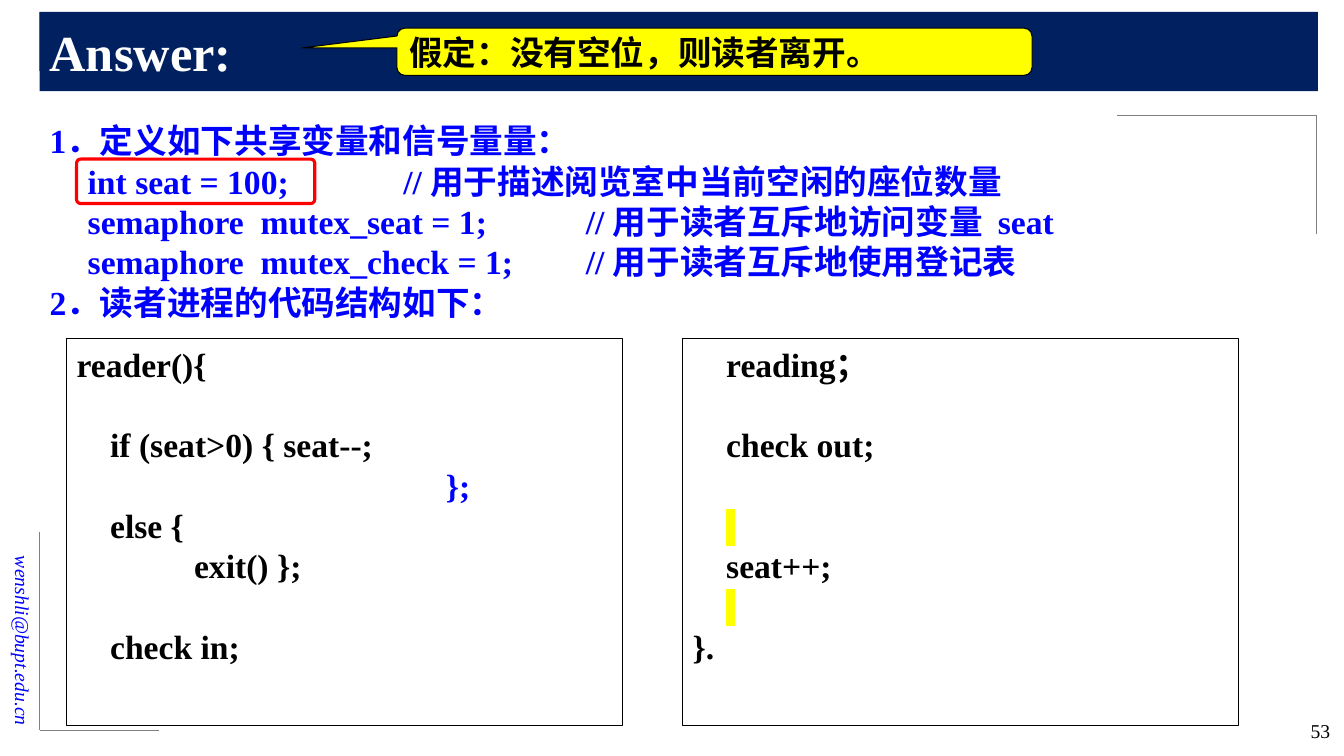
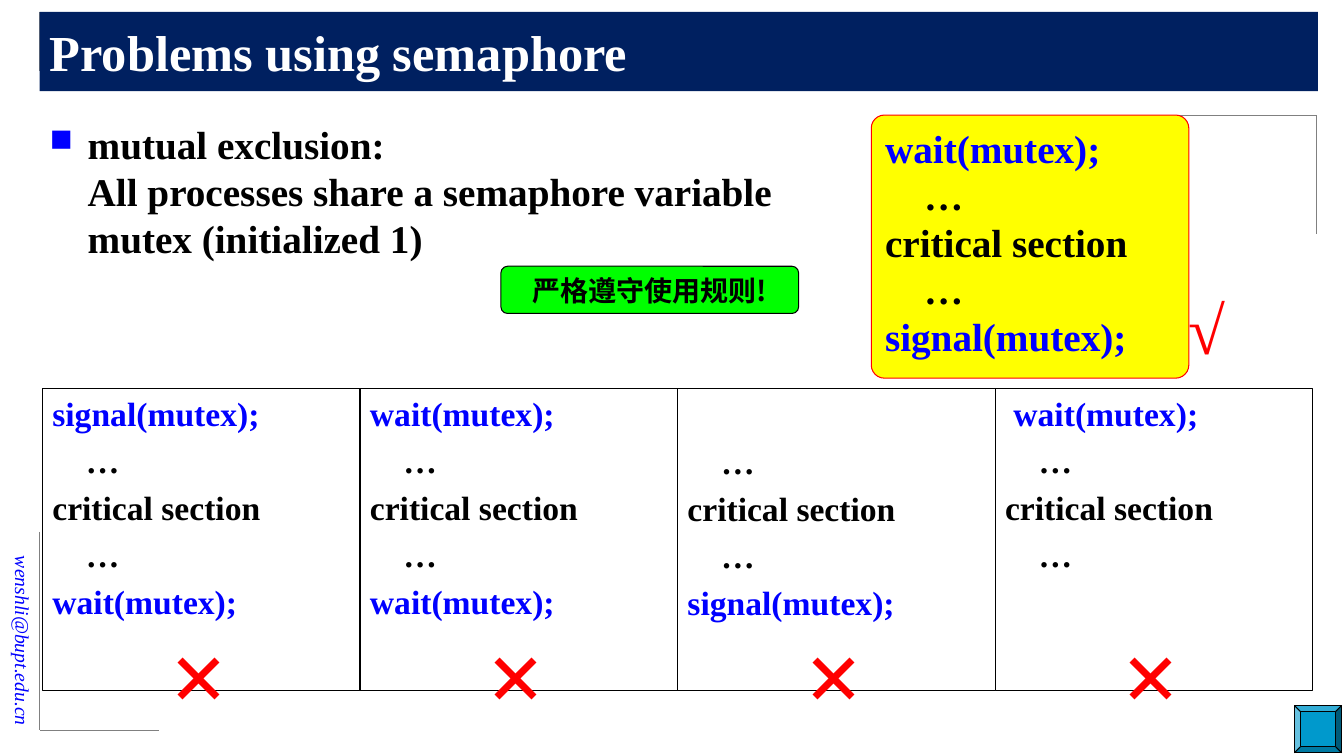
"""Build two slides on semaphores: a reading-room answer and common misuses."""
from dataclasses import dataclass
from typing import Optional

from lxml import etree
from pptx import Presentation
from pptx import util as u
from pptx.dml.color import RGBColor
from pptx.enum import shapes, text
from pptx.oxml import ns

NAVY = RGBColor(0x00, 0x20, 0x60)
BLUE = RGBColor(0x00, 0x00, 0xFF)
RED = RGBColor(0xFF, 0x00, 0x00)
YELLOW = RGBColor(0xFF, 0xFF, 0x00)
GREEN = RGBColor(0x00, 0xFF, 0x00)
TEAL = RGBColor(0x00, 0x99, 0xCC)
GRAY = RGBColor(0x80, 0x80, 0x80)
BLACK = RGBColor(0x00, 0x00, 0x00)
WHITE = RGBColor(0xFF, 0xFF, 0xFF)

SERIF = "Times New Roman"
CHINESE = "Noto Sans CJK SC"
SHAPE = shapes.MSO_SHAPE
ALIGN = text.PP_ALIGN
ANCHOR = text.MSO_ANCHOR

EMAIL = "wenshli@bupt.edu.cn"
CORNER_LINES = [
    (1, 0.3, 1, 1.8), (1, 0.3, 6, 0.3),
    (1, 13.4, 1, 18.4), (4, 18.4, 1, 18.4),
    (33.15, 2.9, 33.15, 5.9), (33.15, 2.9, 28.15, 2.9),
]
HANGING = 0.96
CODE_LINE = 28.8


@dataclass(frozen=True)
class Area:
    """A rectangle measured in columns and rows of a one-centimetre grid."""
    column: float
    row: float
    columns: float
    rows: float


@dataclass(frozen=True)
class Line:
    """One paragraph, with an optional highlighted tail."""
    words: str
    color: RGBColor = BLACK
    before: float = 0
    indent: float = 0
    tab: Optional[float] = None
    bullet: str = ""
    marked: str = ""


@dataclass(frozen=True)
class Style:
    """Look shared by all the text of one box."""
    size: float = 24
    font: str = SERIF
    bold: bool = True
    italic: bool = False
    align: Optional[ALIGN] = None
    anchor: ANCHOR = ANCHOR.TOP
    wrap: bool = True
    top: float = 0.13


@dataclass(frozen=True)
class Paint:
    """Fill and outline of a shape."""
    fill: Optional[RGBColor] = None
    line: Optional[RGBColor] = None
    width: float = 0.75


@dataclass(frozen=True)
class Misuse:
    """A wrong order of calls around a critical section."""
    first: str
    last: str


BODY = Area(1, 2.9, 32.1, 15.5)
PANEL = Paint(WHITE, BLACK)

DEFINITIONS = [
    Line("1．定义如下共享变量和信号量量：", BLUE),
    Line("int seat = 100;\t// 用于描述阅览室中当前空闲的座位数量", BLUE, indent=HANGING, tab=7.95),
    Line("semaphore  mutex_seat = 1;\t// 用于读者互斥地访问变量  seat", BLUE, indent=HANGING, tab=12.55),
    Line("semaphore  mutex_check = 1;\t// 用于读者互斥地使用登记表", BLUE, indent=HANGING, tab=12.55),
    Line("2．读者进程的代码结构如下：", BLUE),
]
READER_START = [
    Line("reader(){"),
    Line("    if (seat>0) { seat--;", before=CODE_LINE),
    Line(" " * 44 + "};", BLUE),
    Line("    else {"),
    Line("              exit() };"),
    Line("    check in;", before=CODE_LINE),
]
READER_END = [
    Line("    reading；"),
    Line("    check out;", before=CODE_LINE),
    Line("    ", before=CODE_LINE, marked=" "),
    Line("    seat++;"),
    Line("    ", marked=" "),
    Line("}."),
]
MISUSES = [
    Misuse("signal(mutex);", "wait(mutex);"),
    Misuse("wait(mutex);", "wait(mutex);"),
    Misuse("", "signal(mutex);"),
    Misuse(" wait(mutex);", ""),
]


def add_child(parent, tag: str, **attributes: str):
    """Append a DrawingML element and return it."""
    return etree.SubElement(parent, ns.qn(tag), attributes)


def format_paragraph(paragraph, line: Line, style: Style) -> None:
    """Apply indents, bullet, tab stop and spacing to a paragraph."""
    properties = paragraph._p.get_or_add_pPr()
    if line.indent:
        properties.set("marL", str(u.Cm(line.indent)))
    if line.bullet:
        properties.set("indent", str(-u.Cm(line.indent)))
        color = add_child(properties, "a:buClr")
        add_child(color, "a:srgbClr", val=str(BLUE))
        add_child(properties, "a:buSzPct", val="80000")
        add_child(properties, "a:buChar", char=line.bullet)
    if line.tab:
        tabs = add_child(properties, "a:tabLst")
        add_child(tabs, "a:tab", pos=str(u.Cm(line.tab)), algn="l")
    paragraph.alignment = style.align
    if line.before:
        paragraph.space_before = u.Pt(line.before)


def format_run(run, color: RGBColor, style: Style) -> None:
    """Set the fonts, size and colour of a run."""
    run.font.size = u.Pt(style.size)
    run.font.bold = style.bold
    run.font.italic = style.italic
    run.font.color.rgb = color
    run.font.name = style.font
    add_child(run._r.get_or_add_rPr(), "a:ea", typeface=CHINESE)


def highlight(run, color: RGBColor) -> None:
    """Put a highlight colour behind a run."""
    mark = etree.Element(ns.qn("a:highlight"))
    add_child(mark, "a:srgbClr", val=str(color))
    run._r.rPr.find(ns.qn("a:solidFill")).addnext(mark)


def write(shape, lines: list[Line], style: Style) -> None:
    """Fill a shape with formatted lines."""
    frame = shape.text_frame
    frame.word_wrap = style.wrap
    frame.vertical_anchor = style.anchor
    frame.margin_top = u.Cm(style.top)
    for index, line in enumerate(lines):
        paragraph = frame.add_paragraph() if index else frame.paragraphs[0]
        paragraph.text = line.words
        format_paragraph(paragraph, line, style)
        for run in paragraph.runs:
            format_run(run, line.color, style)
        if line.marked:
            run = paragraph.add_run()
            run.text = line.marked
            format_run(run, BLUE, style)
            highlight(run, YELLOW)


def place(area: Area) -> tuple[int, int, int, int]:
    """Turn grid columns and rows into slide lengths."""
    return u.Cm(area.column), u.Cm(area.row), u.Cm(area.columns), u.Cm(area.rows)


def add_text(slide, area: Area, lines: list[Line], style: Style):
    """Add a text box."""
    shape = slide.shapes.add_textbox(*place(area))
    write(shape, lines, style)
    return shape


def add_box(slide, kind, area: Area, paint: Paint, lines: Optional[list[Line]] = None,
            style: Style = Style(align=ALIGN.LEFT), adjust: tuple[float, ...] = ()):
    """Add a preset shape, with text if there is any."""
    shape = slide.shapes.add_shape(kind, *place(area))
    shape.shadow.inherit = False
    for index, value in enumerate(adjust):
        shape.adjustments[index] = value
    if paint.fill is None:
        shape.fill.background()
    else:
        shape.fill.solid()
        shape.fill.fore_color.rgb = paint.fill
    if paint.line is None:
        shape.line.fill.background()
    else:
        shape.line.color.rgb = paint.line
        shape.line.width = u.Pt(paint.width)
    if lines:
        write(shape, lines, style)
    return shape


def add_slide(presentation, title: str):
    """Add a blank slide with the shared e-mail, corner lines and title band."""
    slide = presentation.slides.add_slide(presentation.slide_layouts[6])
    email = add_text(slide, Area(-2.77, 14.76, 6.7, 0.86), [Line(EMAIL, BLUE)],
                     Style(14, bold=False, italic=True, align=ALIGN.RIGHT, anchor=ANCHOR.MIDDLE))
    email.rotation = 90
    for ends in CORNER_LINES:
        corner = slide.shapes.add_connector(shapes.MSO_CONNECTOR.STRAIGHT, *map(u.Cm, ends))
        corner.line.color.rgb = GRAY
        corner.line.width = u.Pt(0.5)
        add_child(corner._element.spPr, "a:effectLst")
    add_box(slide, SHAPE.RECTANGLE, Area(1, 0.3, 32.2, 2), Paint(NAVY), [Line(title, WHITE)],
            Style(36, align=ALIGN.LEFT, anchor=ANCHOR.MIDDLE))
    return slide


def section(first: str, last: str, before: float = 0) -> list[Line]:
    """Return the lines of a critical section between two calls."""
    middle = [Line(words, before=before) for words in ("    …", "critical section", "    …")]
    opening = [Line(first, BLUE)] if first else []
    closing = [Line(last, BLUE, before)] if last else []
    return opening + middle + closing


def build_answer(presentation) -> None:
    """Build the slide with the reader process."""
    slide = add_slide(presentation, "Answer:")
    add_text(slide, BODY, DEFINITIONS, Style())
    add_text(slide, Area(30.94, 17.98, 2.82, 0.91), [Line("53")],
             Style(14, bold=False, align=ALIGN.RIGHT))
    for column, lines in ((17.2, READER_END), (1.68, READER_START)):
        add_box(slide, SHAPE.RECTANGLE, Area(column, 8.53, 14, 9.75), PANEL, lines)
    add_box(slide, SHAPE.ROUNDED_RECTANGLE, Area(1.93, 4.01, 6, 1.12), Paint(line=RED, width=2.25),
            adjust=(0.09,))
    add_box(slide, SHAPE.ROUNDED_RECTANGULAR_CALLOUT, Area(10, 0.71, 16, 1.19), Paint(YELLOW, BLACK),
            [Line("假定：没有空位，则读者离开。")],
            Style(font=CHINESE, align=ALIGN.LEFT, anchor=ANCHOR.MIDDLE), (-0.65, -0.08, 0.17))


def build_problems(presentation) -> None:
    """Build the slide with right and wrong uses of a mutex."""
    slide = add_slide(presentation, "Problems using semaphore")
    claim = "mutual exclusion:\vAll processes share a semaphore variable \vmutex (initialized 1)"
    add_text(slide, BODY, [Line(claim, indent=HANGING, bullet="■")], Style(28))
    for index, misuse in enumerate(MISUSES):
        column = 1.07 + 8 * index
        top = 0.13 if misuse.first else 1.32
        add_box(slide, SHAPE.RECTANGLE, Area(column, 9.78, 8, 7.62), PANEL,
                section(misuse.first, misuse.last, 4.8), Style(align=ALIGN.LEFT, top=top))
        add_text(slide, Area(column + 2.97, 15.28, 1.93, 3.33), [Line("×", RED)],
                 Style(72, align=ALIGN.CENTER, wrap=False))
    add_box(slide, SHAPE.ROUNDED_RECTANGLE, Area(21.95, 2.9, 8, 6.63), Paint(YELLOW, RED),
            section("wait(mutex);", "signal(mutex);"), Style(28, align=ALIGN.LEFT), (0.05,))
    add_text(slide, Area(29.7, 7.11, 1.45, 2.29), [Line("√", RED)], Style(48, wrap=False))
    add_box(slide, SHAPE.ROUNDED_RECTANGLE, Area(12.62, 6.71, 7.5, 1.19), Paint(GREEN, BLACK),
            [Line("严格遵守使用规则!")], Style(20, CHINESE, align=ALIGN.CENTER), (0.14,))
    add_box(slide, SHAPE.BEVEL, Area(32.61, 17.78, 1.19, 1.19), Paint(TEAL, BLACK))


def main() -> None:
    """Create and save the presentation."""
    presentation = Presentation()
    presentation.slide_width, presentation.slide_height = u.Inches(13.33), u.Inches(7.5)
    build_answer(presentation)
    build_problems(presentation)
    presentation.save("out.pptx")


if __name__ == "__main__":
    main()
